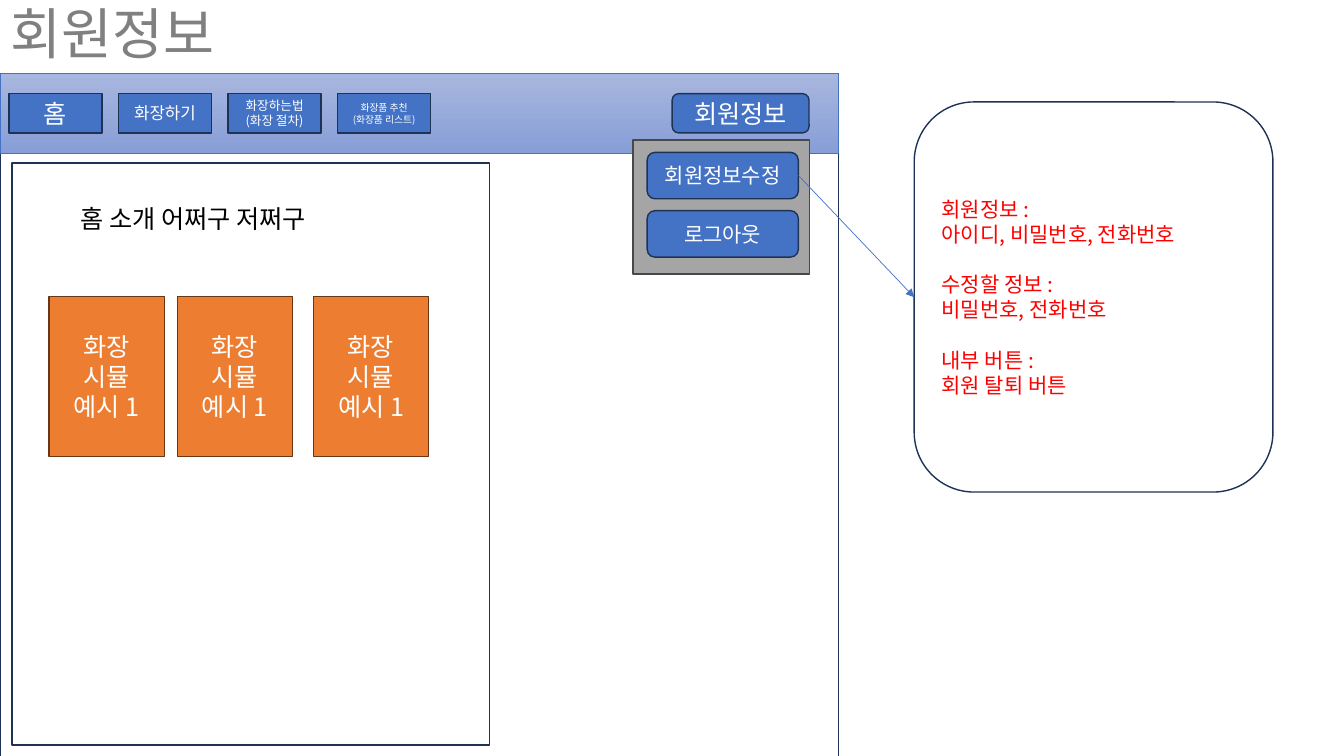
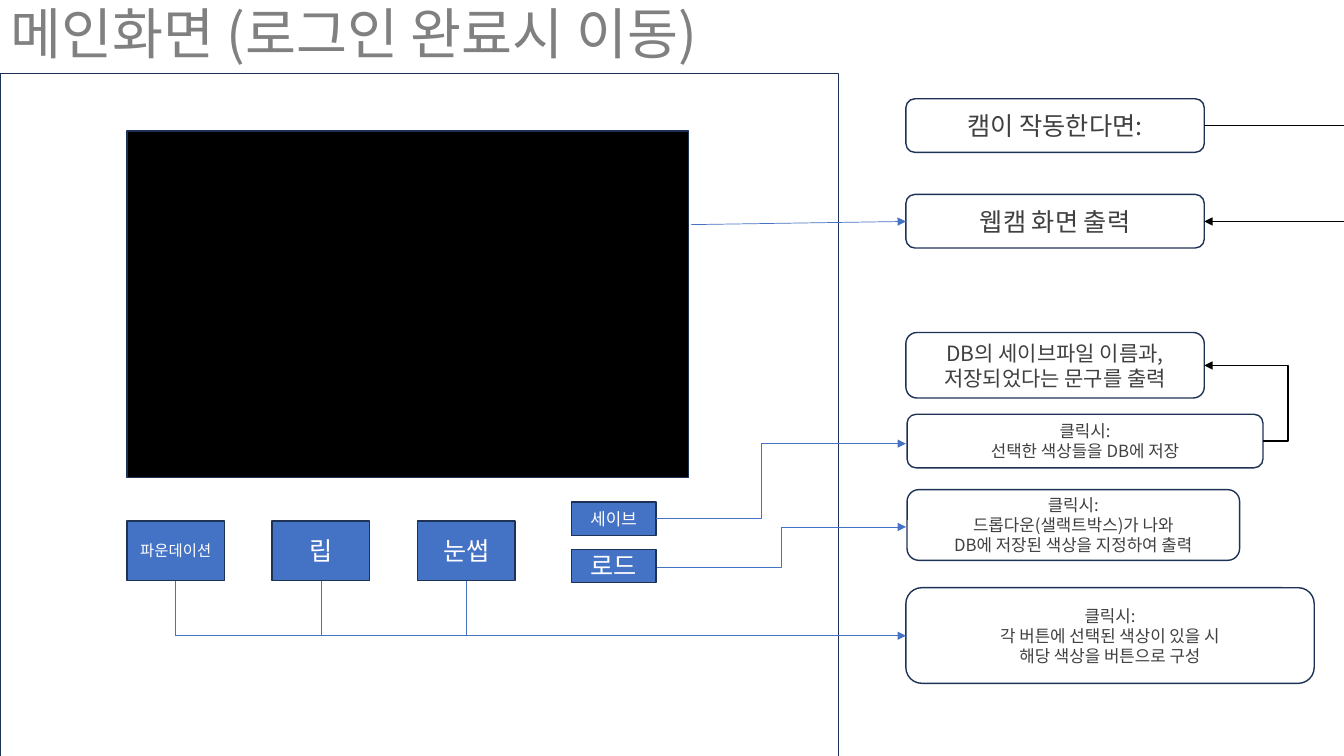
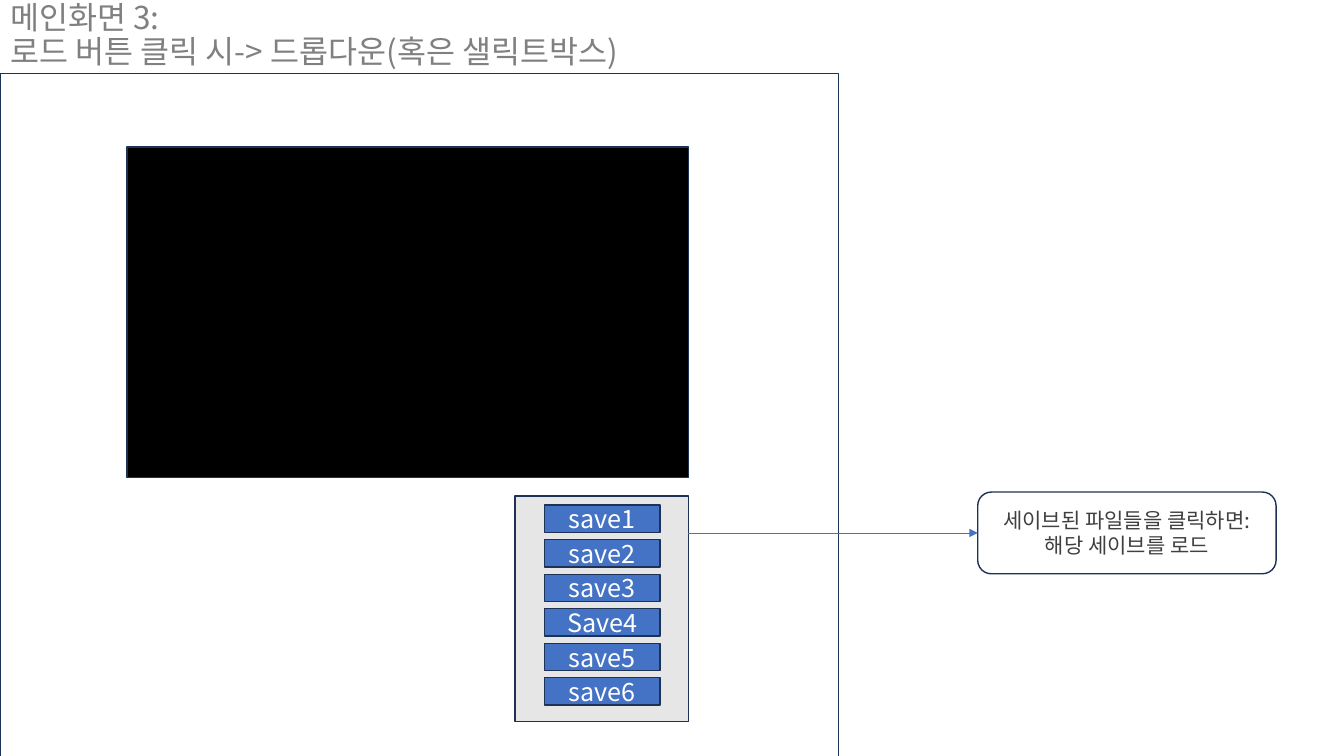
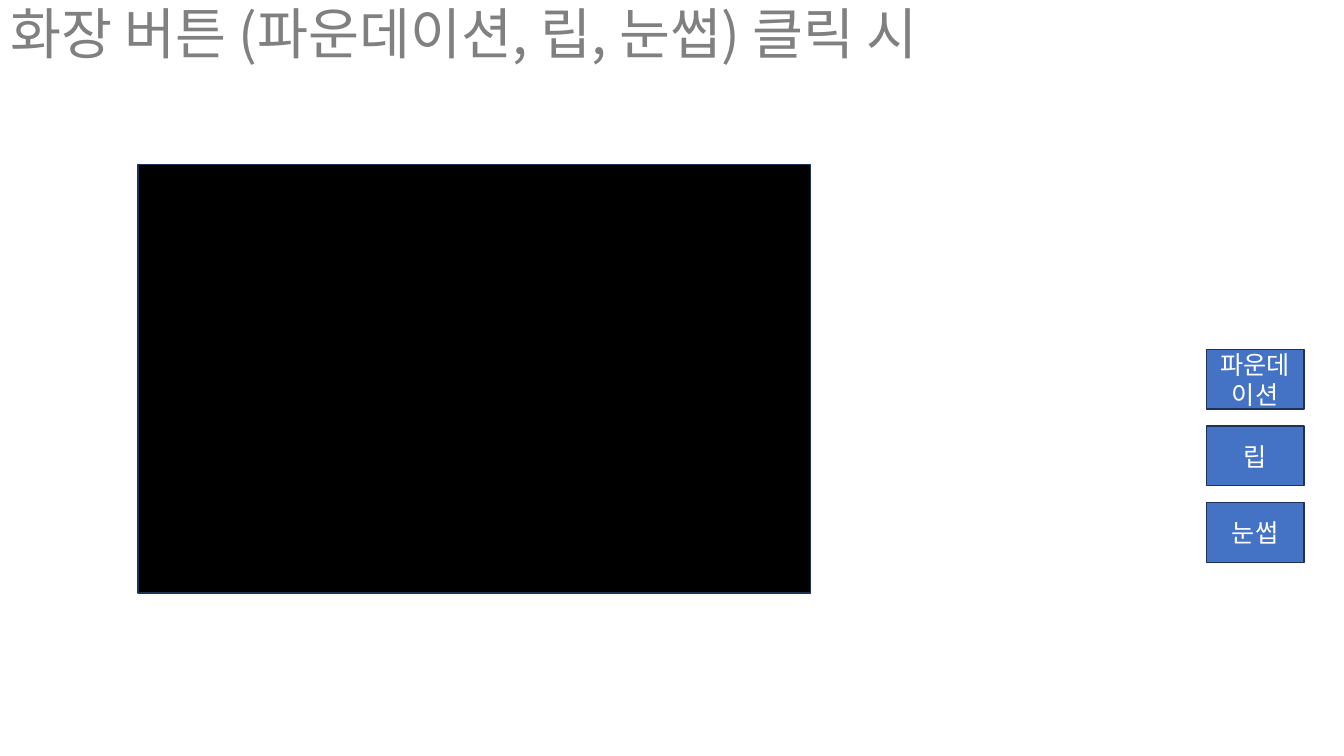
from dataclasses import dataclass

from lxml.etree import SubElement
from pptx import Presentation
from pptx.dml.color import RGBColor
from pptx.enum.shapes import MSO_CONNECTOR, MSO_SHAPE
from pptx.enum.text import MSO_ANCHOR, MSO_AUTO_SIZE, PP_ALIGN
from pptx.oxml.ns import qn
from pptx.util import Cm, Pt


@dataclass(frozen=True)
class Theme:
    font: str = "Noto Sans CJK KR"
    blue: str = "4472C4"
    navy: str = "1E3256"
    orange: str = "ED7D31"
    brown: str = "683715"
    gray: str = "A5A5A5"
    charcoal: str = "484848"
    pale: str = "E7E6E6"
    black: str = "000000"
    white: str = "FFFFFF"
    red: str = "FF0000"
    note: str = "404040"
    title: str = "808080"
    band: tuple = ("A8B7DF", "889ED7")
    title_size: float = 39.6
    long_title_size: float = 22.5
    large: float = 18
    medium: float = 15
    small: float = 12
    compact: float = 11
    caption: float = 9
    tiny: float = 7
    outline: float = 1
    thin: float = 0.5


theme = Theme()
RECT = MSO_SHAPE.RECTANGLE
ROUND = MSO_SHAPE.ROUNDED_RECTANGLE


def write(shape, text, size, color, align=PP_ALIGN.CENTER, anchor=MSO_ANCHOR.MIDDLE):
    frame = shape.text_frame
    frame.text = text
    frame.word_wrap = True
    frame.auto_size = MSO_AUTO_SIZE.NONE
    frame.vertical_anchor = anchor
    for para in frame.paragraphs:
        para.alignment = align
        for span in para.runs:
            span.font.size = Pt(size)
            span.font.name = theme.font
            span.font.color.rgb = RGBColor.from_string(color)
            SubElement(span.font._element, qn("a:ea"), typeface=theme.font)


def add_box(page, kind, at, fill=None, line=theme.navy, text="", size=theme.large, color=theme.white):
    box = page.shapes.add_shape(kind, *map(Cm, at))
    box.shadow.inherit = False
    if fill:
        box.fill.solid()
        box.fill.fore_color.rgb = RGBColor.from_string(fill)
    else:
        box.fill.background()
    box.line.color.rgb = RGBColor.from_string(line)
    box.line.width = Pt(theme.outline)
    if text:
        write(box, text, size, color)
    return box


deck = Presentation()
deck.slide_width, deck.slide_height = Cm(33.87), Cm(19.05)
layout = deck.slide_layouts[5]
heading = layout.placeholders[0]
heading.left, heading.top, heading.width, heading.height = Cm(0), Cm(0), Cm(29.21), Cm(1.85)

titles = [
    ("회원정보", theme.title_size),
    ("메인화면 (로그인 완료시 이동)", theme.title_size),
    ("메인화면 3:\v로드 버튼 클릭 시-> 드롭다운(혹은 샐릭트박스)", theme.long_title_size),
    ("화장 버튼 (파운데이션, 립, 눈썹) 클릭 시", theme.title_size),
]
for text, size in titles:
    page = deck.slides.add_slide(layout)
    write(page.shapes.title, text, size, theme.title, PP_ALIGN.LEFT)
    page.shapes.title.text_frame.paragraphs[0].line_spacing = 0.9
member, main, load, makeup = deck.slides

for page in (member, main, load):
    add_box(page, RECT, (0, 1.85, 21.13, 17.48))

screens = [
    (main, (3.2, 3.3, 14.15, 8.74)),
    (load, (3.2, 3.71, 14.15, 8.33)),
    (makeup, (3.48, 4.14, 16.94, 10.8)),
]
for page, at in screens:
    add_box(page, RECT, at, theme.black)

band = add_box(member, RECT, (0, 1.85, 21.13, 2.01), line=theme.blue)
band.line.width = Pt(theme.thin)
band.fill.gradient()
band.fill.gradient_angle = 270
for stop, color in zip(band.fill.gradient_stops, theme.band):
    stop.color.rgb = RGBColor.from_string(color)

menu = [
    ("홈", theme.large),
    ("화장하기", theme.small),
    ("화장하는법\v(화장 절차)", theme.caption),
    ("화장품 추천\v(화장품 리스트)", theme.tiny),
]
for index, (text, size) in enumerate(menu):
    add_box(member, RECT, (0.23 + 2.76 * index, 2.36, 2.34, 0.99), theme.blue, text=text, size=size)

add_box(member, RECT, (0.3, 4.11, 12.04, 14.66))
for left in (1.24, 4.47, 7.9):
    add_box(member, RECT, (left, 7.47, 2.9, 4.04), theme.orange, theme.brown, "화장\v시뮬\v예시 1")
intro = member.shapes.add_textbox(Cm(1.78), Cm(5), Cm(8.46), Cm(1.02))
write(intro, "홈 소개 어쩌구 저쩌구", theme.large, theme.black, PP_ALIGN.LEFT, MSO_ANCHOR.TOP)

add_box(member, RECT, (15.95, 3.53, 4.45, 3.38), theme.gray, theme.charcoal)
member_buttons = [
    ((16.94, 2.36, 3.45, 0.99), "회원정보", theme.large),
    ((16.31, 3.84, 3.81, 1.17), "회원정보수정", theme.medium),
    ((16.31, 5.31, 3.81, 1.17), "로그아웃", theme.medium),
]
for at, text, size in member_buttons:
    add_box(member, ROUND, at, theme.blue, text=text, size=size)

details = add_box(member, ROUND, (23.04, 2.57, 9.04, 9.83))
details_text = (
    "회원정보 :\v아이디, 비밀번호, 전화번호\n"
    "수정할 정보 :\v비밀번호, 전화번호\n"
    "내부 버튼 :\v회원 탈퇴 버튼"
)
write(details, details_text, theme.medium, theme.red, PP_ALIGN.LEFT)
for para in details.text_frame.paragraphs[1:]:
    para.space_before = Pt(18)

products = [("파운데이션", theme.compact), ("립", theme.large), ("눈썹", theme.large)]
for index, (text, size) in enumerate(products):
    add_box(main, RECT, (3.2 + 3.66 * index, 13.13, 2.46, 1.5), theme.blue, text=text, size=size)
    add_box(makeup, RECT, (30.4, 8.81 + 1.93 * index, 2.46, 1.5), theme.blue, text=text)

for top, text, size in [(12.65, "세이브", theme.small), (13.84, "로드", theme.large)]:
    add_box(main, RECT, (14.4, top, 2.13, 0.84), theme.blue, text=text, size=size)

add_box(load, RECT, (12.98, 12.5, 4.37, 5.69), theme.pale)
for index, text in enumerate(["save1", "save2", "save3", "Save4", "save5", "save6"]):
    add_box(load, RECT, (13.73, 12.73 + 0.87 * index, 2.9, 0.69), theme.blue, text=text)

notes = [
    (main, (22.83, 2.49, 7.52, 1.35), "캠이 작동한다면:", theme.large),
    (main, (22.83, 4.9, 7.52, 1.35), "웹캠 화면 출력", theme.large),
    (main, (22.83, 8.38, 7.52, 1.65), "DB의 세이브파일 이름과,\v저장되었다는 문구를 출력", theme.medium),
    (main, (22.86, 10.44, 8.97, 1.35), "클릭시:\n선택한 색상들을 DB에 저장", theme.small),
    (main, (22.86, 12.34, 8.38, 1.78),
     "클릭시:\v드롭다운(샐랙트박스)가 나와\vDB에 저장된 색상을 지정하여 출력", theme.small),
    (main, (22.83, 14.81, 10.29, 2.41),
     "클릭시:\v각 버튼에 선택된 색상이 있을 시\v해당 색상을 버튼으로 구성", theme.small),
    (load, (24.64, 12.4, 7.52, 2.06), "세이브된 파일들을 클릭하면:\v해당 세이브를 로드", theme.medium),
]
for page, at, text, size in notes:
    add_box(page, ROUND, at, text=text, size=size, color=theme.note)

blue_line = (theme.blue, theme.thin)
black_line = (theme.black, theme.outline)
links = [
    (member, (20.12, 4.42, 23.04, 7.49), blue_line, True, None),
    (main, (17.42, 5.66, 22.83, 5.58), blue_line, True, None),
    (main, (4.43, 16.02, 22.83, 16.02), blue_line, True, None),
    (main, (16.56, 14.29, 22.83, 13.28), blue_line, True, 50000),
    (main, (16.53, 13.06, 22.83, 11.18), blue_line, True, 42000),
    (main, (31.83, 11.11, 30.35, 9.21), black_line, True, -42600),
    (main, (30.35, 3.16, 33.87, 3.16), black_line, False, None),
    (main, (33.87, 5.58, 30.35, 5.58), black_line, True, None),
    (load, (17.35, 13.43, 24.64, 13.43), blue_line, True, None),
]
for index in range(len(products)):
    center = 4.43 + 3.66 * index
    links.append((main, (center, 14.63, center, 16.02), blue_line, False, None))

for page, ends, (color, width), arrow, bend in links:
    kind = MSO_CONNECTOR.STRAIGHT if bend is None else MSO_CONNECTOR.ELBOW
    link = page.shapes.add_connector(kind, *map(Cm, ends))
    link.line.color.rgb = RGBColor.from_string(color)
    link.line.width = Pt(width)
    properties = link._element.spPr
    if arrow:
        SubElement(properties.find(qn("a:ln")), qn("a:tailEnd"), type="triangle")
    if bend is not None:
        guides = properties.find(qn("a:prstGeom")).find(qn("a:avLst"))
        SubElement(guides, qn("a:gd"), name="adj1", fmla=f"val {bend}")
    SubElement(properties, qn("a:effectLst"))

deck.save("out.pptx")
